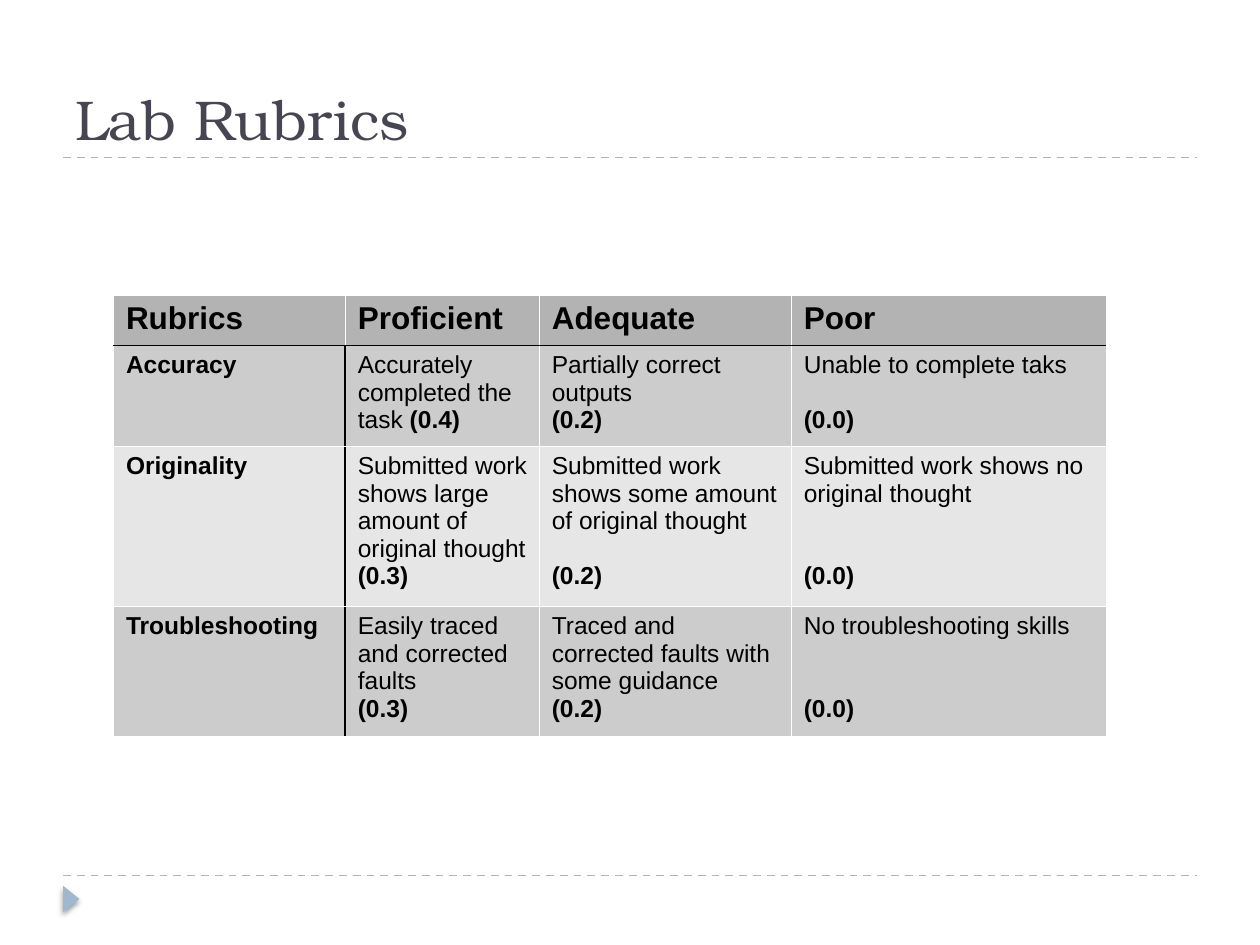
from lxml.etree import SubElement
from pptx import Presentation
from pptx.dml.color import RGBColor
from pptx.enum.shapes import MSO_CONNECTOR, MSO_SHAPE
from pptx.enum.text import MSO_ANCHOR
from pptx.oxml import parse_xml
from pptx.oxml.ns import nsdecls, qn
from pptx.util import Inches, Pt

ACCENT = RGBColor(0x9F, 0xB8, 0xCD)
TITLE_INK = RGBColor(0x46, 0x46, 0x53)
BLACK = RGBColor(0x00, 0x00, 0x00)
WHITE = RGBColor(0xFF, 0xFF, 0xFF)
HEADER_GREY = RGBColor(0xB3, 0xB3, 0xB3)
BAND_GREYS = [RGBColor(0xE6, 0xE6, 0xE6), RGBColor(0xCC, 0xCC, 0xCC)]
LINE_HEIGHT = 15.7  # points, one line of 14 pt Arial

HEADINGS = ["Rubrics", "Proficient", "Adequate", "Poor"]
# Each level: description, score, empty lines above the score (None: same line)
CRITERIA = [
    ("Accuracy", [
        ("Accurately completed the task ", "(0.4)", None),
        ("Partially correct outputs", "(0.2)", 0),
        ("Unable to complete taks", "(0.0)", 1)]),
    ("Originality", [
        ("Submitted work shows large amount of original thought", "(0.3)", 0),
        ("Submitted work shows some amount of original thought", "(0.2)", 1),
        ("Submitted work shows no original thought", "(0.0)", 2)]),
    ("Troubleshooting", [
        ("Easily traced and corrected faults", "(0.3)", 0),
        ("Traced and corrected faults with some guidance", "(0.2)", 0),
        ("No troubleshooting skills", "(0.0)", 2)]),
]
COLUMN_WIDTHS = [1.84, 1.54, 2, 2.5]
ROW_HEIGHTS = [0.38, 0.76, 1.19, 0.97]

prs = Presentation()
prs.slide_width, prs.slide_height = Inches(10), Inches(7.5)
slide = prs.slides.add_slide(prs.slide_layouts[6])
shapes = slide.shapes

for rule_y in (Inches(6.95), Inches(1.25)):
    rule = shapes.add_connector(MSO_CONNECTOR.STRAIGHT, Inches(0.5), rule_y, Inches(9.5), rule_y)
    rule.line.color.rgb = ACCENT
    rule.line.width = Pt(0.75)
    dashes = SubElement(rule.line._get_or_add_ln(), qn("a:custDash"))
    SubElement(dashes, qn("a:ds"), d="600000", sp="470000")
    SubElement(rule._element.spPr, qn("a:effectLst"))

marker = shapes.add_shape(MSO_SHAPE.ISOSCELES_TRIANGLE, Inches(0.46), Inches(7.07),
                          Inches(0.21), Inches(0.13))
marker.rotation = 90
marker.fill.solid()
marker.fill.fore_color.rgb = ACCENT
marker.line.fill.background()
marker._element.spPr.append(parse_xml(
    f'<a:effectLst {nsdecls("a")}><a:outerShdw blurRad="{Pt(3)}" dist="{Pt(2)}" dir="5400000" '
    f'rotWithShape="0"><a:srgbClr val="{BLACK}"><a:alpha val="40000"/></a:srgbClr>'
    '</a:outerShdw></a:effectLst>'))

title = shapes.add_textbox(Inches(0.5), Inches(0.17), Inches(9), Inches(1.08)).text_frame
title.word_wrap = True
title.vertical_anchor = MSO_ANCHOR.BOTTOM
heading = title.paragraphs[0]
heading.text = "Lab Rubrics"
heading.font.name = "TeX Gyre Bonum"
heading.font.size = Pt(32)
heading.font.color.rgb = TITLE_INK

rubric = shapes.add_table(len(CRITERIA) + 1, len(HEADINGS), Inches(0.9), Inches(2.34),
                          Inches(sum(COLUMN_WIDTHS)), Inches(sum(ROW_HEIGHTS))).table
rubric.first_row = rubric.horz_banding = False
for column, width in zip(rubric.columns, COLUMN_WIDTHS):
    column.width = Inches(width)
for row, height in zip(rubric.rows, ROW_HEIGHTS):
    row.height = Inches(height)

for c, text in enumerate(HEADINGS):
    rubric.cell(0, c).text = text
for r, (criterion, levels) in enumerate(CRITERIA, start=1):
    rubric.cell(r, 0).text = criterion
    for c, (description, score, gap_lines) in enumerate(levels, start=1):
        frame = rubric.cell(r, c).text_frame
        frame.text = description
        score_line = frame.paragraphs[0] if gap_lines is None else frame.add_paragraph()
        if gap_lines:
            score_line.space_before = Pt(LINE_HEIGHT * gap_lines)
        score_run = score_line.add_run()
        score_run.text = score
        score_run.font.bold = True

for r, row in enumerate(rubric.rows):
    for c, cell in enumerate(row.cells):
        black_edges = set()
        if r <= 1:
            black_edges.add("B" if r == 0 else "T")
        if r > 0 and c <= 1:
            black_edges.add("R" if c == 0 else "L")
        for edge in "LRTB":
            color = BLACK if edge in black_edges else WHITE
            weight = Pt(1) if edge in black_edges else Pt(0.06)
            cell._tc.get_or_add_tcPr().append(parse_xml(
                f'<a:ln{edge} {nsdecls("a")} w="{weight}"><a:solidFill>'
                f'<a:srgbClr val="{color}"/></a:solidFill></a:ln{edge}>'))
        cell.fill.solid()
        cell.fill.fore_color.rgb = BAND_GREYS[r % 2] if r else HEADER_GREY
        cell.margin_right = Inches(0.08)
        for paragraph in cell.text_frame.paragraphs:
            paragraph.font.name = "Arial"
            paragraph.font.size = Pt(14) if r else Pt(18)
            paragraph.font.bold = r == 0 or c == 0
            paragraph.font.color.rgb = BLACK

prs.save("out.pptx")
